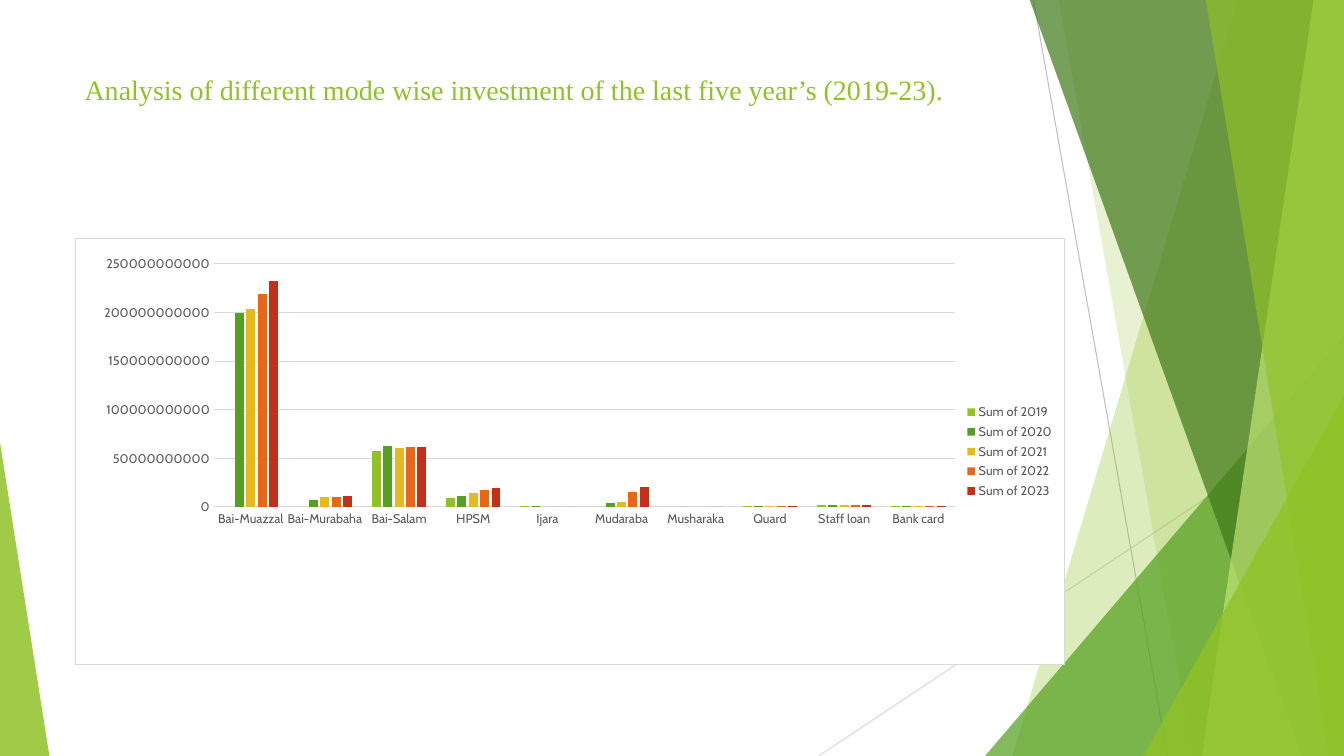
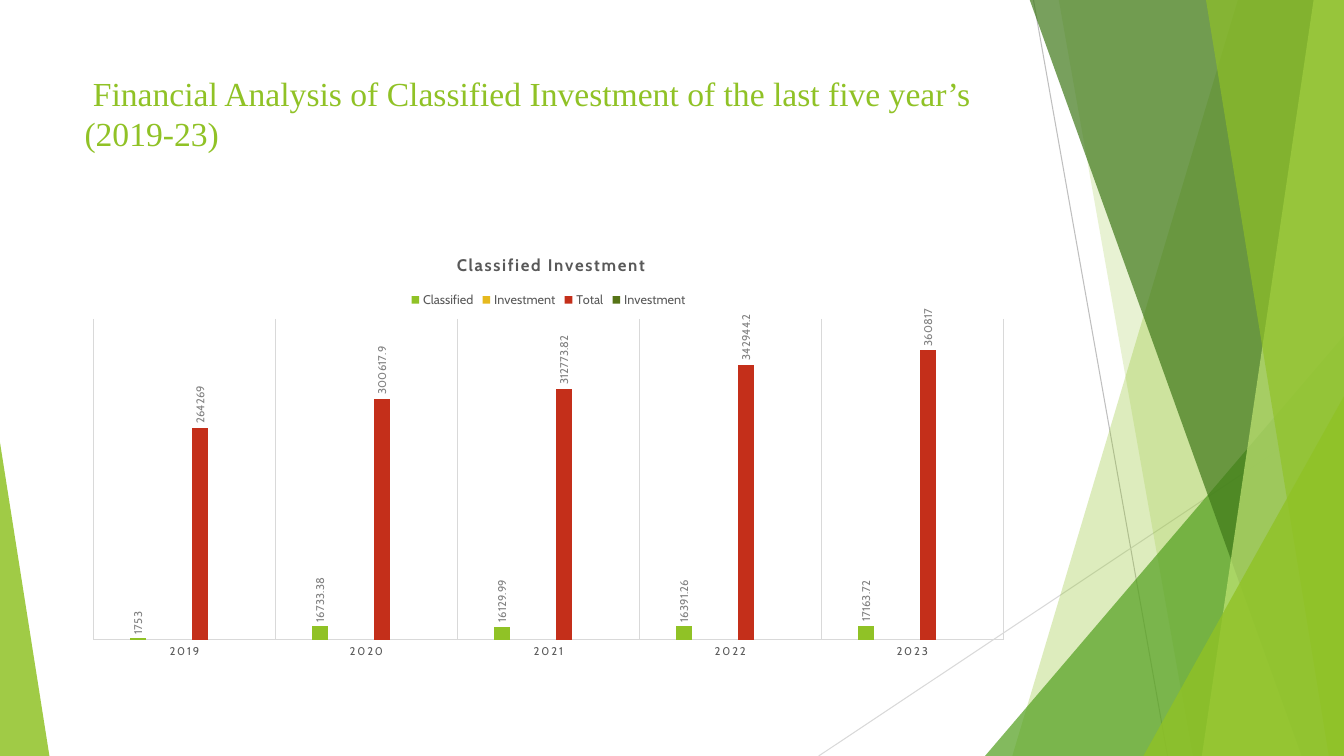
from lxml import etree
from pptx import Presentation
from pptx.chart.data import CategoryChartData
from pptx.dml.color import RGBColor
from pptx.enum.chart import XL_CHART_TYPE, XL_LABEL_POSITION, XL_LEGEND_POSITION, XL_TICK_MARK
from pptx.enum.shapes import MSO_CONNECTOR, MSO_SHAPE
from pptx.oxml import parse_xml
from pptx.oxml.ns import nsdecls, qn
from pptx.util import Inches, Pt

COLUMNS = XL_CHART_TYPE.COLUMN_CLUSTERED
OUTSIDE_END = XL_LABEL_POSITION.OUTSIDE_END
LEGEND_RIGHT = XL_LEGEND_POSITION.RIGHT
LEGEND_TOP = XL_LEGEND_POSITION.TOP
NO_TICK = XL_TICK_MARK.NONE
STRAIGHT = MSO_CONNECTOR.STRAIGHT
TRIANGLE = MSO_SHAPE.ISOSCELES_TRIANGLE

LIME = RGBColor(0x90, 0xC2, 0x26)
PALE_LIME = RGBColor(0xC0, 0xE4, 0x74)
GREEN = RGBColor(0x54, 0xA0, 0x21)
DARK_GREEN = RGBColor(0x3F, 0x78, 0x19)
OLIVE = RGBColor(0x56, 0x74, 0x17)
YELLOW = RGBColor(0xE6, 0xB9, 0x1E)
ORANGE = RGBColor(0xE7, 0x66, 0x18)
RED = RGBColor(0xC4, 0x2F, 0x1A)
TEXT_GRAY = RGBColor(0x59, 0x59, 0x59)
LABEL_GRAY = RGBColor(0x80, 0x80, 0x80)
RULE_GRAY = RGBColor(0xBF, 0xBF, 0xBF)
GRID_GRAY = RGBColor(0xD9, 0xD9, 0xD9)

TITLE_FONT = "Times New Roman"
CHART_FONT = "Cabin"
WIDTH, HEIGHT = 13.33, 7.5
BLEED = -0.01
TITLE_BOX = (0.74, 0.67, 9.4, 1.44)
MODE_BOX = (0.74, 2.36, 9.82, 4.24)
CLASSIFIED_BOX = (0.74, 2.36, 9.4, 4.24)

RULES = [
    ((10.25, 0), (11.58, HEIGHT), RULE_GRAY),
    ((WIDTH, 4.03), (8.12, HEIGHT), GRID_GRAY),
]
BACK_BANDS = [(12.28, 10.04, LIME, 30), (10.5, 11.83, LIME, 20)]
FRONT_BANDS = [
    (10.21, 12.91, DARK_GREEN, 70),
    (13.03, 11.92, PALE_LIME, 70),
    (11.96, 13.18, LIME, 65),
]
BACK_CORNER = (9.77, 3.33, 3.56, 4.17)
FRONT_CORNER = (11.34, 3.93, 1.99, 3.57)
LEFT_CORNER = (0, 4.39, 0.49, 3.11)

BILLION = 10**9
MODES = ["Bai-Muazzal", "Bai-Murabaha", "Bai-Salam", "HPSM", "Ijara",
         "Mudaraba", "Musharaka", "Quard", "Staff loan", "Bank card"]
MODE_SERIES = [
    ("Sum of 2019", [0, 0, 57, 9, 1, 0, 0, 1, 2, 1], LIME),
    ("Sum of 2020", [199, 7, 63, 11, 1, 4, 0, 1, 2, 1], GREEN),
    ("Sum of 2021", [204, 10, 61, 14, 0, 5, 0, 1, 2, 1], YELLOW),
    ("Sum of 2022", [219, 10, 62, 17, 0, 15, 0, 1, 2, 1], ORANGE),
    ("Sum of 2023", [232, 11, 62, 19, 0, 20, 0, 1, 2, 1], RED),
]
YEARS = ["2019", "2020", "2021", "2022", "2023"]
NO_VALUES = [None] * len(YEARS)
CLASSIFIED_SERIES = [
    ("Classified", [1753, 16733.38, 16129.99, 16391.26, 17163.72], LIME),
    ("Investment", NO_VALUES, YELLOW),
    ("Total", [264269, 300617.9, 312773.82, 342944.2, 360817], RED),
    ("Investment", NO_VALUES, OLIVE),
]


def inches(box):
    return [Inches(length) for length in box]


def paint(shape, colour, opacity):
    shape.shadow.inherit = False
    shape.line.fill.background()
    shape.fill.solid()
    shape.fill.fore_color.rgb = colour
    for tint in shape.fill._xPr.iter(qn("a:srgbClr")):
        etree.SubElement(tint, qn("a:alpha")).set("val", str(opacity * 1000))


def add_rule(page, start, end, colour):
    rule = page.shapes.add_connector(STRAIGHT, *inches(start + end))
    rule.line.color.rgb = colour
    rule.line.width = Pt(0.75)
    etree.SubElement(rule._element.spPr, qn("a:effectLst"))


def add_band(page, top_left, bottom_left, colour, opacity):
    outline = page.shapes.build_freeform(Inches(top_left), Inches(BLEED))
    corners = [(WIDTH, BLEED), (WIDTH, HEIGHT), (bottom_left, HEIGHT)]
    outline.add_line_segments([inches(corner) for corner in corners], close=True)
    paint(outline.convert_to_shape(), colour, opacity)


def add_corner(page, box, apex, colour, opacity):
    corner = page.shapes.add_shape(TRIANGLE, *inches(box))
    corner.adjustments[0] = apex
    paint(corner, colour, opacity)


def add_backdrop(page):
    for rule in RULES:
        add_rule(page, *rule)
    for band in BACK_BANDS:
        add_band(page, *band)
    add_corner(page, BACK_CORNER, 1, GREEN, 72)
    for band in FRONT_BANDS:
        add_band(page, *band)
    add_corner(page, FRONT_CORNER, 1, LIME, 80)
    add_corner(page, LEFT_CORNER, 0, LIME, 85)


def style_font(font, size, colour, name=CHART_FONT, bold=False):
    font.name = name
    font.size = Pt(size)
    font.bold = bold
    font.color.rgb = colour


def add_title(page, box, text, size):
    frame = page.shapes.add_textbox(*inches(box)).text_frame
    frame.word_wrap = True
    frame.text = text
    style_font(frame.paragraphs[0].runs[0].font, size, LIME, TITLE_FONT)


def style_line(line, colour=GRID_GRAY):
    line.color.rgb = colour
    line.width = Pt(0.75)


def place_part(part, x, y, width=None, height=None, inner=False):
    for old in part.findall(qn("c:layout")):
        part.remove(old)
    settings = [("layoutTarget", "inner")] if inner else []
    settings += [("xMode", "edge"), ("yMode", "edge"), ("x", x), ("y", y)]
    if width:
        settings += [("w", width), ("h", height)]
    layout = etree.Element(qn("c:layout"))
    manual = etree.SubElement(layout, qn("c:manualLayout"))
    for name, value in settings:
        etree.SubElement(manual, qn("c:" + name)).set("val", str(value))
    overlay = part.find(qn("c:overlay"))
    if overlay is None:
        part.insert(0, layout)
    else:
        overlay.addprevious(layout)


def space_letters(element, spacing):
    for properties in element.xpath(".//a:defRPr | .//a:rPr"):
        properties.set("spc", str(spacing))


def style_frame(chart, fill, line):
    frame = parse_xml(f"<c:spPr {nsdecls('c', 'a')}>{fill}<a:ln w='9525'>{line}</a:ln></c:spPr>")
    chart._chartSpace.find(qn("c:chart")).addnext(frame)


def add_columns(page, box, categories, series_rows, scale, gap, overlap, legend_position):
    data = CategoryChartData()
    data.categories = categories
    for name, values, _ in series_rows:
        data.add_series(name, [None if value is None else value * scale for value in values])
    chart = page.shapes.add_chart(COLUMNS, *inches(box), data).chart
    chart.has_title = False
    chart.font.name = CHART_FONT
    chart.font.size = Pt(10)
    plot = chart.plots[0]
    plot.vary_by_categories = False
    plot.gap_width = gap
    plot.overlap = overlap
    for series, (_, _, colour) in zip(plot.series, series_rows):
        series.format.fill.solid()
        series.format.fill.fore_color.rgb = colour
        series.invert_if_negative = False
    chart.has_legend = True
    chart.legend.position = legend_position
    chart.legend.include_in_layout = False
    style_font(chart.legend.font, 9, TEXT_GRAY)
    for axis in (chart.category_axis, chart.value_axis):
        axis.major_tick_mark = NO_TICK
        axis.minor_tick_mark = NO_TICK
        style_font(axis.tick_labels.font, 9, TEXT_GRAY)
    style_line(chart.category_axis.format.line)
    return chart


def add_mode_chart(page, box):
    chart = add_columns(page, box, MODES, MODE_SERIES, BILLION, 219, -27, LEGEND_RIGHT)
    axis = chart.value_axis
    axis.minimum_scale = 0
    axis.maximum_scale = 250 * BILLION
    axis.major_unit = 50 * BILLION
    axis.tick_labels.number_format = "0"
    axis.tick_labels.number_format_is_linked = False
    axis.format.line.fill.background()
    style_line(axis.major_gridlines.format.line)
    place_part(chart._chartSpace.chart.plotArea, 0.14, 0.06, 0.75, 0.57, inner=True)
    style_frame(chart, "<a:solidFill><a:srgbClr val='FFFFFF'/></a:solidFill>",
                f"<a:solidFill><a:srgbClr val='{GRID_GRAY}'/></a:solidFill>")


def add_classified_chart(page, box):
    chart = add_columns(page, box, YEARS, CLASSIFIED_SERIES, 1, 444, -90, LEGEND_TOP)
    chart.has_title = True
    heading = chart.chart_title.text_frame
    heading.text = "Classified Investment"
    style_font(heading.paragraphs[0].runs[0].font, 12, TEXT_GRAY, bold=True)
    chart.chart_title.include_in_layout = False
    space_letters(chart.chart_title._element, 120)
    place_part(chart.chart_title._element, 0.4, 0.03)
    place_part(chart.legend._element, 0.35, 0.12, 0.3, 0.05)
    place_part(chart._chartSpace.chart.plotArea, 0.02, 0.19, 0.96, 0.75, inner=True)
    chart.value_axis.minimum_scale = 0
    chart.value_axis.maximum_scale = 400000
    chart.value_axis.has_major_gridlines = False
    chart.value_axis.visible = False
    axis = chart.category_axis
    axis.tick_labels.font.size = Pt(8)
    space_letters(axis._element, 120)
    axis.has_major_gridlines = True
    style_line(axis.major_gridlines.format.line)
    plot = chart.plots[0]
    plot.has_data_labels = True
    labels = plot.data_labels
    labels.show_value = True
    labels.position = OUTSIDE_END
    style_font(labels.font, 8, LABEL_GRAY)
    for body in labels._element.iter(qn("a:bodyPr")):
        body.set("rot", "-5400000")
        body.set("vert", "horz")
    style_frame(chart, "<a:noFill/>", "<a:noFill/>")


def add_chart_slide(deck, title, title_size, draw_chart, chart_box):
    page = deck.slides.add_slide(deck.slide_layouts[6])
    add_backdrop(page)
    add_title(page, TITLE_BOX, title, title_size)
    draw_chart(page, chart_box)


def main():
    deck = Presentation()
    deck.slide_width = Inches(WIDTH)
    deck.slide_height = Inches(HEIGHT)
    add_chart_slide(
        deck, "Analysis of different mode wise investment of the last five year’s (2019-23).",
        20, add_mode_chart, MODE_BOX)
    add_chart_slide(
        deck, " Financial Analysis of Classified Investment of the last five year’s (2019-23)",
        24, add_classified_chart, CLASSIFIED_BOX)
    deck.save("out.pptx")


if __name__ == "__main__":
    main()
